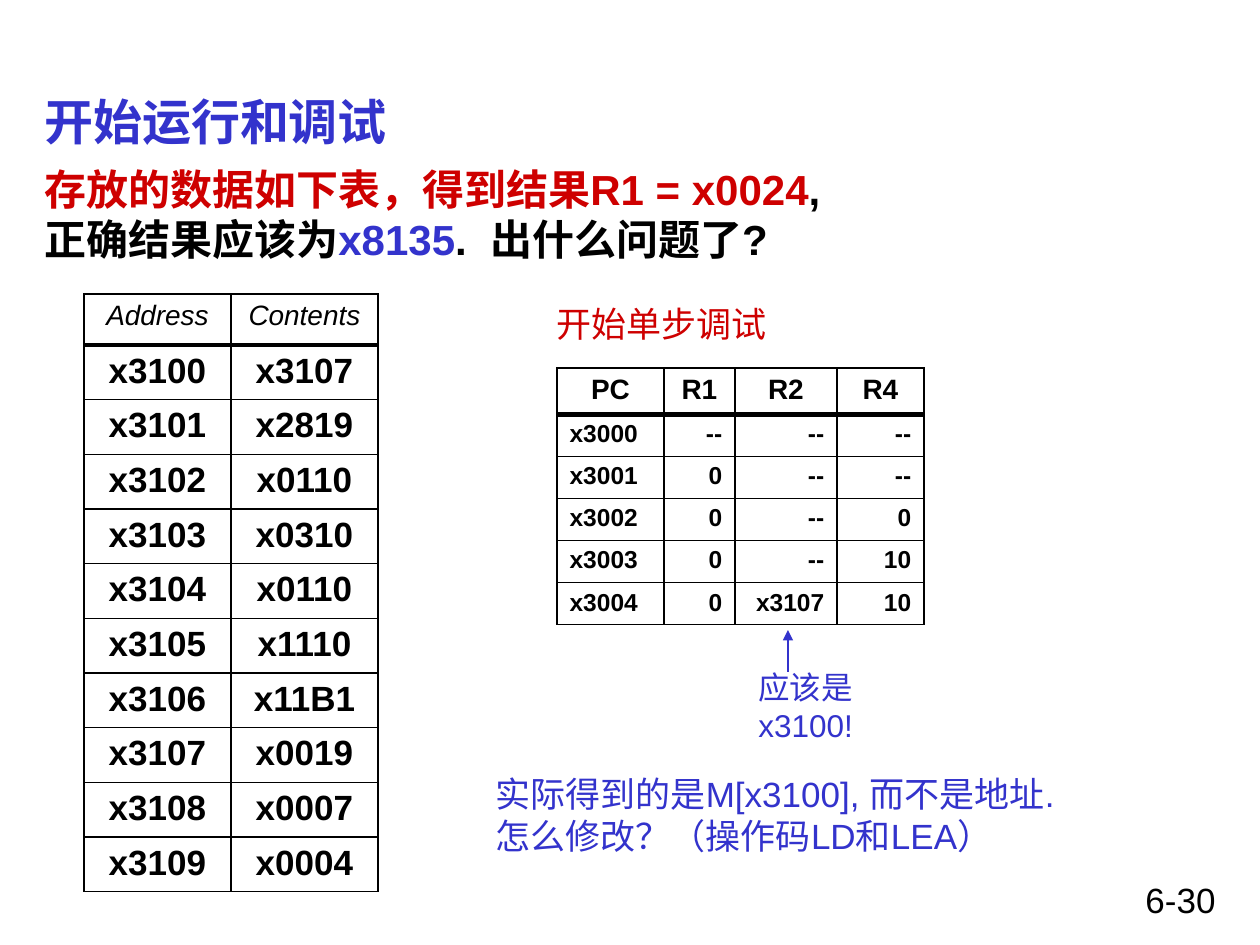
import pptx
import pptx.util
import pptx.dml.color
import pptx.enum.shapes
import pptx.enum.text
import pptx.oxml
from pptx.oxml.ns import qn

PX = 914400 / 126
BLACK = pptx.dml.color.RGBColor(0, 0, 0)
BLUE = pptx.dml.color.RGBColor(0x33, 0x33, 0xCC)
RED = pptx.dml.color.RGBColor(0xCE, 0, 0)
ALIGN = pptx.enum.text.PP_ALIGN
ANCHOR = pptx.enum.text.MSO_ANCHOR
NS = 'xmlns:a="http://schemas.openxmlformats.org/drawingml/2006/main"'

DATA = ["x3107", "x2819", "x0110", "x0310", "x0110",
        "x1110", "x11B1", "x0019", "x0007", "x0004"]
STEPS = [
    ["x3000", "--", "--", "--"],
    ["x3001", "0", "--", "--"],
    ["x3002", "0", "--", "0"],
    ["x3003", "0", "--", "10"],
    ["x3004", "0", "x3107", "10"],
]


def emu(px):
    return pptx.util.Emu(round(px * PX))


def add_run(par, text, size, color, bold=False, italic=False):
    run = par.add_run()
    run.text = text
    font = run.font
    font.name = "Arial"
    font.size = pptx.util.Pt(size)
    font.bold = bold
    font.italic = italic
    font.color.rgb = color


def add_text(slide, box, lines, size, bold=False, align=ALIGN.LEFT,
             anchor=ANCHOR.TOP):
    """Add a text box; each line is a paragraph, a list of (text, colour)."""
    frame = slide.shapes.add_textbox(*map(emu, box)).text_frame
    frame.word_wrap = True
    frame.vertical_anchor = anchor
    for i, line in enumerate(lines):
        par = frame.add_paragraph() if i else frame.paragraphs[0]
        par.alignment = align
        for part in line:
            if part is None:
                par.add_line_break()
            else:
                add_run(par, part[0], size, part[1], bold)


def set_edge(cell, side, width):
    line = pptx.oxml.parse_xml(
        f'<a:{side} {NS} w="{pptx.util.Pt(width)}"><a:solidFill>'
        f'<a:srgbClr val="{BLACK}"/></a:solidFill></a:{side}>')
    cell._tc.get_or_add_tcPr().append(line)


def add_grid(slide, left, top, cols, head, body, rows, style):
    """Add a ruled table; style(row, col) gives size, bold, italic, align."""
    cells = [head] + body
    heights = [rows[0]] + [rows[1]] * len(body)
    frame = slide.shapes.add_table(
        len(cells), len(cols), *map(emu, (left, top, sum(cols), sum(heights))))
    table = frame.table
    table.horz_banding = False
    for col, width in zip(table.columns, cols):
        col.width = emu(width)
    for row, height in zip(table.rows, heights):
        row.height = emu(height)
    for r, row in enumerate(cells):
        for c, text in enumerate(row):
            cell = table.cell(r, c)
            size, bold, italic, align = style(r, c)
            par = cell.text_frame.paragraphs[0]
            par.alignment = align
            add_run(par, text, size, BLACK, bold, italic)
            for side in ("lnL", "lnR"):
                set_edge(cell, side, 1)
            set_edge(cell, "lnT", 3 if r == 1 else 1)
            set_edge(cell, "lnB", 3 if r == 0 else 1)
            cell.fill.background()


def data_style(row, col):
    return (20 if row else 16), row > 0, row == 0, ALIGN.CENTER


def step_style(row, col):
    if row == 0:
        return 16, True, False, ALIGN.CENTER
    return 14, True, False, ALIGN.RIGHT if col else ALIGN.LEFT


def add_arrow(slide, x1, y1, x2, y2):
    arrow = slide.shapes.add_connector(
        pptx.enum.shapes.MSO_CONNECTOR.STRAIGHT, *map(emu, (x1, y1, x2, y2)))
    arrow.line.color.rgb = BLUE
    arrow.line.width = pptx.util.Pt(0.75)
    tip = pptx.oxml.parse_xml(f'<a:tailEnd {NS} type="triangle"/>')
    arrow.line._get_or_add_ln().append(tip)
    props = arrow._element.spPr
    props.append(props.makeelement(qn("a:effectLst"), {}))


def main():
    prs = pptx.Presentation()
    prs.slide_width, prs.slide_height = emu(1260), emu(945)
    slide = prs.slides.add_slide(prs.slide_layouts[6])

    add_text(slide, (903, 872, 325, 53), [[("6-30", BLACK)]], 20,
             align=ALIGN.RIGHT)
    add_text(slide, (32, 84, 1197, 73), [[("开始运行和调试", BLUE)]], 28,
             bold=True, anchor=ANCHOR.MIDDLE)
    add_text(slide, (32, 157, 1197, 683), [[
        ("存放的数据如下表，得到结果R1 = x0024", RED), (",", BLACK), None,
        ("正确结果应该为", BLACK), ("x8135", BLUE),
        (".  出什么问题了?", BLACK)]], 24, bold=True)

    data = [[f"x{0x3100 + i:X}", word] for i, word in enumerate(DATA)]
    add_grid(slide, 84, 294, [147, 147], ["Address", "Contents"], data,
             (51, 51.7), data_style)
    add_grid(slide, 557, 368, [107, 71, 102, 87], ["PC", "R1", "R2", "R4"],
             STEPS, (46, 42), step_style)

    add_text(slide, (544, 296, 237, 55), [[("开始单步调试", RED)]], 20)
    add_text(slide, (746, 662, 190, 90), [[("应该是x3100!", BLUE)]], 18)
    add_arrow(slide, 788, 672, 788, 630)
    add_text(slide, (483, 766, 580, 139), [
        [("实际得到的是M[x3100], 而不是地址.", BLUE)],
        [("怎么修改？（操作码LD和LEA）", BLUE)]], 20)

    prs.save("out.pptx")


if __name__ == "__main__":
    main()
